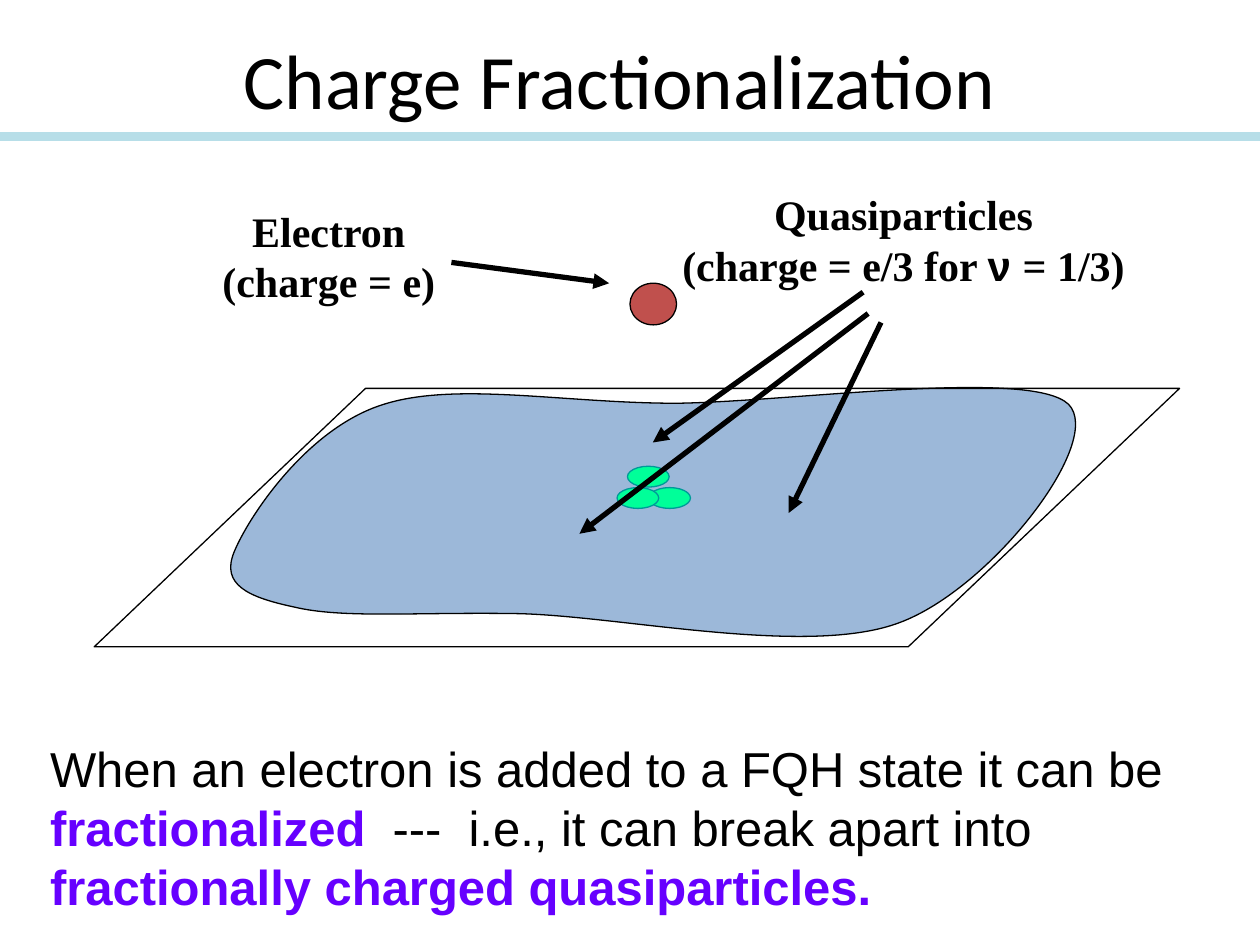
from lxml import etree
from pptx import Presentation
from pptx.dml.color import RGBColor
from pptx.enum.shapes import MSO_CONNECTOR, MSO_SHAPE
from pptx.enum.text import MSO_ANCHOR, MSO_AUTO_SIZE, PP_ALIGN
from pptx.oxml.ns import qn
from pptx.util import Cm, Pt

STRAIGHT = MSO_CONNECTOR.STRAIGHT
OVAL = MSO_SHAPE.OVAL
PARALLELOGRAM = MSO_SHAPE.PARALLELOGRAM
TOP, MIDDLE = MSO_ANCHOR.TOP, MSO_ANCHOR.MIDDLE
LEFT, CENTER = PP_ALIGN.LEFT, PP_ALIGN.CENTER
FIT_SHAPE, NO_FIT = MSO_AUTO_SIZE.SHAPE_TO_FIT_TEXT, MSO_AUTO_SIZE.NONE

BLACK = RGBColor(0x00, 0x00, 0x00)
PALE_BLUE = RGBColor(0xB7, 0xDE, 0xE8)
BLUE = RGBColor(0x4F, 0x81, 0xBD)
RED = RGBColor(0xC0, 0x50, 0x4D)
GREEN = RGBColor(0x00, 0xFF, 0x99)
TEAL = RGBColor(0x00, 0x99, 0x99)
VIOLET = RGBColor(0x66, 0x00, 0xFF)

presentation = Presentation()
presentation.slide_width = Cm(25.4)
presentation.slide_height = Cm(19.05)
slide = presentation.slides.add_slide(presentation.slide_layouts[6])
shapes = slide.shapes


def add_line(start, end, color, width, arrow=True):
    connector = shapes.add_connector(STRAIGHT, *map(Cm, start + end))
    connector.line.color.rgb = color
    connector.line.width = Pt(width)
    if arrow:
        line_xml = connector.line._get_or_add_ln()
        etree.SubElement(line_xml, qn("a:tailEnd"), type="triangle")
    etree.SubElement(connector._element.spPr, qn("a:effectLst"))


def add_text(box, lines, font, size, bold=None, align=CENTER,
             anchor=TOP, wrap=True, fit=FIT_SHAPE):
    frame = shapes.add_textbox(*map(Cm, box)).text_frame
    frame.word_wrap = wrap
    frame.auto_size = fit
    frame.vertical_anchor = anchor
    for number, runs in enumerate(lines):
        paragraph = frame.add_paragraph() if number else frame.paragraphs[0]
        paragraph.alignment = align
        paragraph.font.name = font
        paragraph.font.size = Pt(size)
        paragraph.font.bold = bold
        paragraph.font.color.rgb = BLACK
        for text in runs:
            paragraph.add_run().text = text
    return frame


liquid_start = (5.94, 12.24)
liquid_curves = [
    ((5.00, 12.04), (4.45, 11.79), (4.72, 11.13)),
    ((5.00, 10.44), (6.15, 8.69), (7.65, 8.18)),
    ((9.12, 7.67), (11.33, 8.13), (13.64, 8.13)),
    ((15.95, 8.10), (20.78, 7.42), (21.54, 8.15)),
    ((22.28, 8.89), (19.99, 11.86), (18.14, 12.55)),
    ((16.28, 13.26), (12.45, 12.40), (10.39, 12.37)),
    ((8.33, 12.34), (6.91, 12.47), liquid_start),
]
builder = shapes.build_freeform(*map(Cm, liquid_start))
builder.add_line_segments(
    [(Cm(x), Cm(y)) for curve in liquid_curves for x, y in curve], close=True)
liquid = builder.convert_to_shape()
segments = list(liquid._element.spPr.iter(qn("a:lnTo")))
for first, second, last in zip(segments[::3], segments[1::3], segments[2::3]):
    curve_xml = etree.Element(qn("a:cubicBezTo"))
    first.addprevious(curve_xml)
    for segment in (first, second, last):
        curve_xml.append(segment[0])
        segment.getparent().remove(segment)
liquid.shadow.inherit = False
liquid.fill.solid()
liquid.fill.fore_color.rgb = BLUE
liquid.line.color.rgb = BLACK
liquid.line.width = Pt(0.75)
liquid_color = liquid._element.spPr.find(qn("a:solidFill"))[0]
etree.SubElement(liquid_color, qn("a:alpha"), val="56000")

add_line((0, 2.75), (25.4, 2.75), PALE_BLUE, 5, arrow=False)
add_text((1.06, 0, 22.86, 3.18), [["Charge Fractionalization"]],
         "Calibri", 44, anchor=MIDDLE, fit=NO_FIT)

for kind, box, fill, outline_color in [
    (PARALLELOGRAM, (1.9, 7.83, 21.88, 5.21), None, BLACK),
    (OVAL, (12.7, 5.71, 0.94, 0.84), RED, BLACK),
    (OVAL, (13.08, 9.83, 0.84, 0.42), GREEN, TEAL),
    (OVAL, (12.65, 9.4, 0.84, 0.42), GREEN, TEAL),
    (OVAL, (12.44, 9.83, 0.84, 0.42), GREEN, TEAL),
]:
    shape = shapes.add_shape(kind, *map(Cm, box))
    shape.shadow.inherit = False
    if fill is None:
        shape.fill.background()
        shape.adjustments[0] = 1.05
    else:
        shape.fill.solid()
        shape.fill.fore_color.rgb = fill
    shape.line.color.rgb = outline_color
    shape.line.width = Pt(0.75)

add_text((4.23, 4.02, 4.8, 2.29), [["Electron"], ["(charge = e)"]],
         "Times New Roman", 24, bold=True, wrap=False)

for start, end in [
    ((9.1, 5.29), (12.28, 5.71)),
    ((17.5, 6.32), (11.68, 10.76)),
    ((17.4, 5.89), (13.16, 8.92)),
    ((17.76, 6.5), (15.9, 10.34)),
]:
    add_line(start, end, BLACK, 3)

quasiparticles = add_text(
    (13.49, 3.68, 9.45, 2.31),
    [["Quasiparticles"], ["(charge = e/3 for ", "ν ", "= 1/3)"]],
    "Times New Roman", 24, bold=True, wrap=False)
quasiparticles.paragraphs[1].runs[1].font.name = "Arial"

summary = add_text(
    (0.76, 14.76, 23.8, 3.81),
    [["When an electron is added to a FQH state it can be ",
      "fractionalized",
      "  ---  i.e., it can break apart into ",
      "fractionally charged quasiparticles."]],
    "Arial", 28, align=LEFT)
for run in summary.paragraphs[0].runs[1::2]:
    run.font.bold = True
    run.font.color.rgb = VIOLET

presentation.save("out.pptx")
